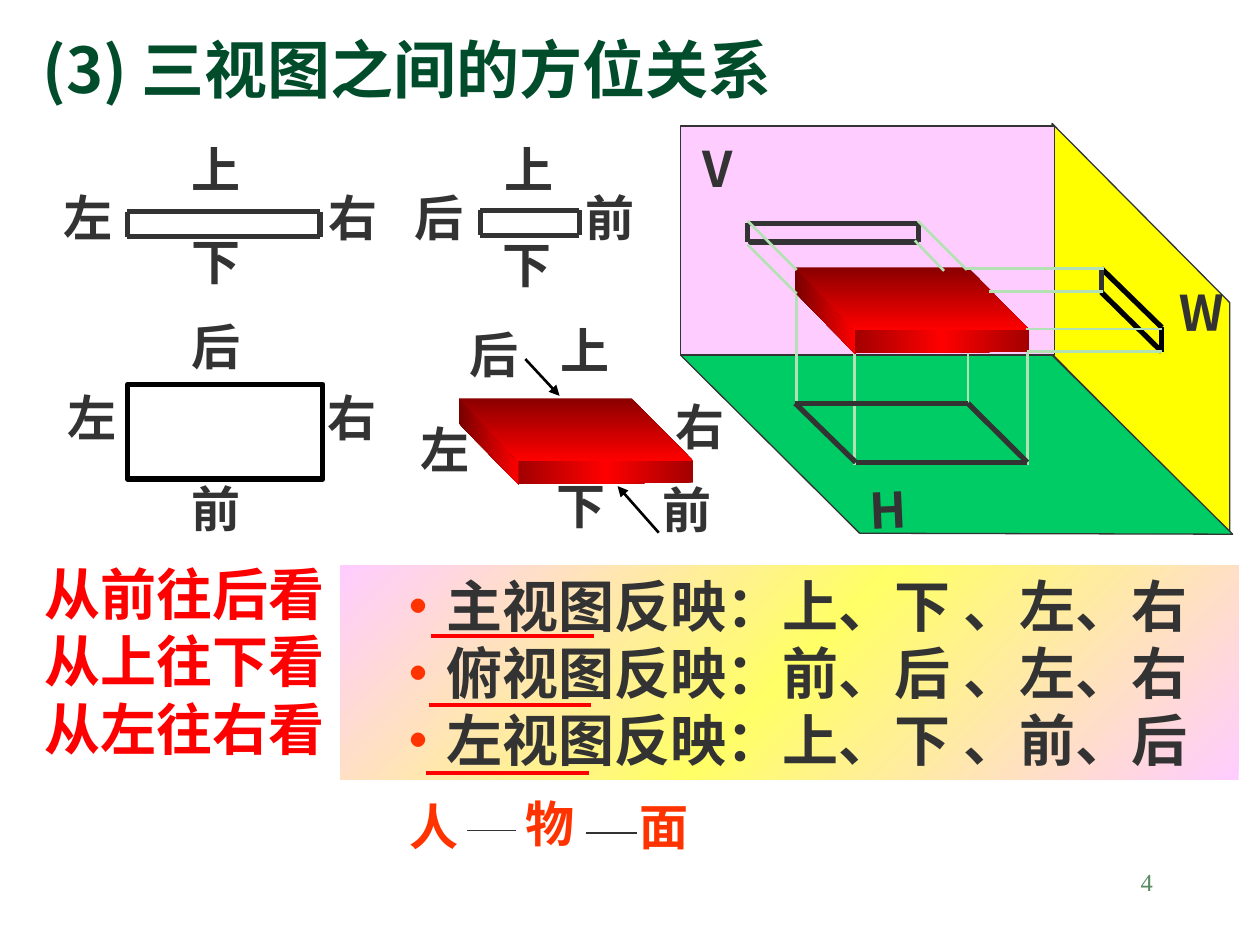
from lxml import etree
from pptx import Presentation
from pptx import util as u
from pptx.dml.color import RGBColor
from pptx.enum import shapes, text
from pptx.oxml import ns

INK = {"dark": "333333", "black": "000000", "title": "004C2B", "page": "578963",
       "red": "FF0000", "hot": "FF3300", "pink": "FFCCFF", "lemon": "FFFF66",
       "wall": "FFFF00", "floor": "00CC66", "ray": "B3E1B3",
       "deep": "780000", "edge": "A20000", "top": "8A0000"}
SANS, SERIF = "Noto Sans CJK SC", "Times New Roman"

deck = Presentation()
deck.slide_width, deck.slide_height = u.Cm(25.4), u.Cm(19.05)
page = deck.slides.add_slide(deck.slide_layouts[6])


def rgb(name):
    return RGBColor.from_string(INK[name])


def sub(node, tag, **attrs):
    return etree.SubElement(node, ns.qn(tag), attrs)


def write(shape, rows, size=28, font=SERIF, color="dark", bold=True,
          align="LEFT", anchor="TOP", wrap=True, tight=False):
    """Fill a shape; each row is a list of (text, colour) or a plain string."""
    frame = shape.text_frame
    frame.word_wrap = wrap
    frame.vertical_anchor = getattr(text.MSO_ANCHOR, anchor)
    if tight:
        frame.margin_top, frame.margin_bottom = u.Cm(0.12), 0
    for i, row in enumerate(rows):
        par = frame.paragraphs[0] if i == 0 else frame.add_paragraph()
        par.alignment = getattr(text.PP_ALIGN, align)
        if tight:
            par.line_spacing = u.Pt(size * 1.2)
        for words, hue in [(row, color)] if isinstance(row, str) else row:
            run = par.add_run()
            run.text = words
            run.font.size, run.font.bold, run.font.name = u.Pt(size), bold, font
            run.font.color.rgb = rgb(hue)
            sub(run.font._element, "a:ea", typeface=SANS)


def label(words, x, y, w=1.52, h=1.45, turn=0, **style):
    box = page.shapes.add_textbox(u.Cm(x), u.Cm(y), u.Cm(w), u.Cm(h))
    box.rotation = turn
    write(box, [words], **style)


def marks(x, y, items, **style):
    """Place one-character labels at offsets from a corner."""
    for sign, dx, dy in items:
        label(sign, x + dx, y + dy, wrap=False, tight=True, **style)


def line(x1, y1, x2, y2, color="dark", width=3, arrow=False):
    rule = page.shapes.add_connector(shapes.MSO_CONNECTOR.STRAIGHT,
                                     u.Cm(x1), u.Cm(y1), u.Cm(x2), u.Cm(y2))
    rule.line.color.rgb, rule.line.width = rgb(color), u.Pt(width)
    if arrow:
        sub(rule.line._get_or_add_ln(), "a:tailEnd", type="triangle")
    sub(rule._element.spPr, "a:effectLst")


def loop(x, y, pts, colors=("dark",) * 4):
    """Closed outline drawn edge by edge."""
    for (ax, ay), (bx, by), hue in zip(pts, pts[1:] + pts[:1], colors):
        line(x + ax, y + ay, x + bx, y + by, hue)


def paint(shape, fill=None, edge=None, width=0.75, angle=0):
    """Fill with one colour name, or a list of them for a gradient."""
    shape.shadow.inherit = False
    if edge:
        shape.line.color.rgb, shape.line.width = rgb(edge), u.Pt(width)
    else:
        shape.line.fill.background()
    if isinstance(fill, list):
        grad = etree.Element(ns.qn("a:gradFill"), rotWithShape="1")
        stops = sub(grad, "a:gsLst")
        for i, hue in enumerate(fill):
            stop = sub(stops, "a:gs", pos=str(100000 * i // (len(fill) - 1)))
            sub(stop, "a:srgbClr", val=INK[hue])
        sub(grad, "a:lin", ang=str(angle * 60000), scaled="0")
        shape._element.spPr.find(ns.qn("a:prstGeom" if shape.shape_type ==
                                       shapes.MSO_SHAPE_TYPE.AUTO_SHAPE
                                       else "a:custGeom")).addnext(grad)
    elif fill:
        shape.fill.solid()
        shape.fill.fore_color.rgb = rgb(fill)
    else:
        shape.fill.background()


def rect(x, y, w, h, **look):
    box = page.shapes.add_shape(shapes.MSO_SHAPE.RECTANGLE,
                                u.Cm(x), u.Cm(y), u.Cm(w), u.Cm(h))
    paint(box, **look)
    return box


def poly(x, y, pts, **look):
    ends = [(u.Cm(x + px), u.Cm(y + py)) for px, py in pts]
    pen = page.shapes.build_freeform(*ends[0], scale=1.0)
    pen.add_line_segments(ends[1:], close=True)
    paint(pen.convert_to_shape(), **look)


def slab(x, y):
    """Red solid with left, front and top faces."""
    poly(x, y, [(0, 0), (0, 0.51), (1.22, 1.75), (1.22, 1.2)], fill=["deep", "red"])
    poly(x, y, [(1.2, 1.22), (4.72, 1.24), (4.72, 1.7), (1.2, 1.73)],
         fill=["edge", "red", "edge"])
    poly(x, y, [(0, 0), (3.48, 0), (4.72, 1.26), (1.18, 1.26)],
         fill=["top", "red"], angle=90)


def view(x, y, w, h, items):
    """Thin orthographic view with its direction labels."""
    loop(x, y, [(0, 0), (w, 0), (w, h), (0, h)])
    marks(x, y, items)


def plan(x, y, w, h, items):
    """Top view with its direction labels."""
    rect(x, y, w, h, edge="black", width=3)
    marks(x, y, items)


def solid(x, y):
    """Slab with all six directions."""
    marks(x, y, [("下", 1.72, 1.44), ("左", -1.02, 0.3), ("右", 4.11, -0.16),
                 ("前", 3.86, 1.52), ("后", -0.03, -1.6), ("上", 1.8, -1.68)])
    for ends in [(1.34, -0.79, 2.03, -0.05), (4.03, 2.71, 3.2, 1.77)]:
        line(x + ends[0], y + ends[1], x + ends[2], y + ends[3], "black", 1.5, True)
    slab(x, y)


def space(x, y):
    """Three projection planes with the slab between them."""
    def rays(rows):
        for ax, ay, bx, by in rows:
            line(x + ax, y + ay, x + bx, y + by, "ray", 1.5)

    # Planes
    poly(x, y, [(7.49, 0), (7.49, 4.65), (11.07, 8.26), (11.07, 3.61)],
         fill="wall", edge="dark")
    poly(x, y, [(0, 4.67), (7.49, 4.67), (11.13, 8.28), (3.61, 8.26)],
         fill="floor", edge="dark")
    rect(x, y + 0.05, 7.54, 4.62, fill="pink", edge="dark")
    for sign, dx, dy, w, turn in [("V", 0.2, 0.18, 1.02, 0), ("W", 9.8, 3.07, 1.22, -0.5),
                                  ("H", 3.56, 7.06, 1.02, -2.6)]:
        label(sign, x + dx, y + dy, w, turn=turn, font=SANS, align="CENTER",
              anchor="MIDDLE", wrap=False)
    # Projections on H, V and W
    rays([(2.34, 3.4, 2.34, 5.64), (3.51, 4.55, 3.51, 6.88),
          (6.99, 4.52, 6.99, 6.88), (5.79, 3.15, 5.79, 5.64)])
    loop(x, y, [(2.31, 5.64), (5.79, 5.64), (6.99, 6.83), (3.53, 6.83)])
    loop(x, y, [(1.35, 2.01), (4.8, 2.01), (4.8, 2.39), (1.35, 2.39)])
    loop(x, y, [(8.48, 2.92), (9.7, 4.11), (9.7, 4.6), (8.48, 3.4)],
         ("black", "black", "black", "dark"))
    slab(x + 2.31, y + 2.9)
    rays([(6.99, 4.6, 9.7, 4.6), (6.96, 4.14, 9.7, 4.14), (8.53, 2.92, 5.74, 2.92),
          (8.51, 3.38, 6.22, 3.38), (5.77, 2.95, 4.78, 1.96), (2.34, 3.43, 1.35, 2.44),
          (2.34, 2.95, 1.35, 1.96), (5.31, 2.97, 4.72, 2.36)])


def notes(x, y, w, h):
    """Summary panel, its underlines and the viewing directions beside it."""
    rows = ["主视图反映：上、下 、左、右", "俯视图反映：前、后 、左、右",
            "左视图反映：上、下 、前、后"]
    panel = rect(x, y, w, h, fill=["pink", "lemon", "pink"], angle=45)
    write(panel, [[("•", "hot"), (row, "dark")] for row in rows],
          size=32, font=SANS, align="CENTER", tight=True)
    for i, look in enumerate(["从前往后看", "从上往下看", "从左往右看"]):
        label(look, x - 6.22, y - 0.25 + 1.37 * i, 6.22, 1.6, size=32,
              color="red", wrap=False, tight=True)
        left, low = x + 1.83 - 0.05 * i, y + 1.43 + 1.38 * i
        line(left, low, left + 3.28, low, "red", 2.25)


def chain(x, y):
    """Observer, object, plane."""
    marks(x, y, [("人", 0, 0), ("物", 2.34, -0.05), ("面", 4.65, 0)], color="hot")
    line(x + 1.42, y + 0.81, x + 2.41, y + 0.81, width=0.75)
    line(x + 3.81, y + 0.86, x + 4.85, y + 0.86, width=0.75)


# Title and page number
label("(3) 三视图之间的方位关系", 0.61, 0.64, 19.91, 1.47, size=36, font=SANS,
      color="title", anchor="MIDDLE")
label("4", 17.6, 17.35, 5.89, 1.27, size=14, color="page", bold=False, align="RIGHT")

# Views
view(2.57, 4.27, 3.88, 0.5, [("上", 1.04, -1.58), ("下", 1.04, 0.28),
                             ("左", -1.53, -0.61), ("右", 3.81, -0.61)])
view(9.68, 4.24, 2, 0.5, [("上", 0.25, -1.55), ("下", 0.2, 0.36),
                          ("后", -1.58, -0.58), ("前", 1.88, -0.58)])
plan(2.57, 7.75, 3.94, 1.91, [("后", 1.04, -1.48), ("前", 1.04, 1.78),
                              ("左", -1.45, -0.05), ("右", 3.78, -0.05)])
solid(9.25, 8.03)
space(13.72, 2.49)

# Summary
notes(6.86, 11.4, 18.11, 4.32)
chain(8, 15.93)

deck.save("out.pptx")
